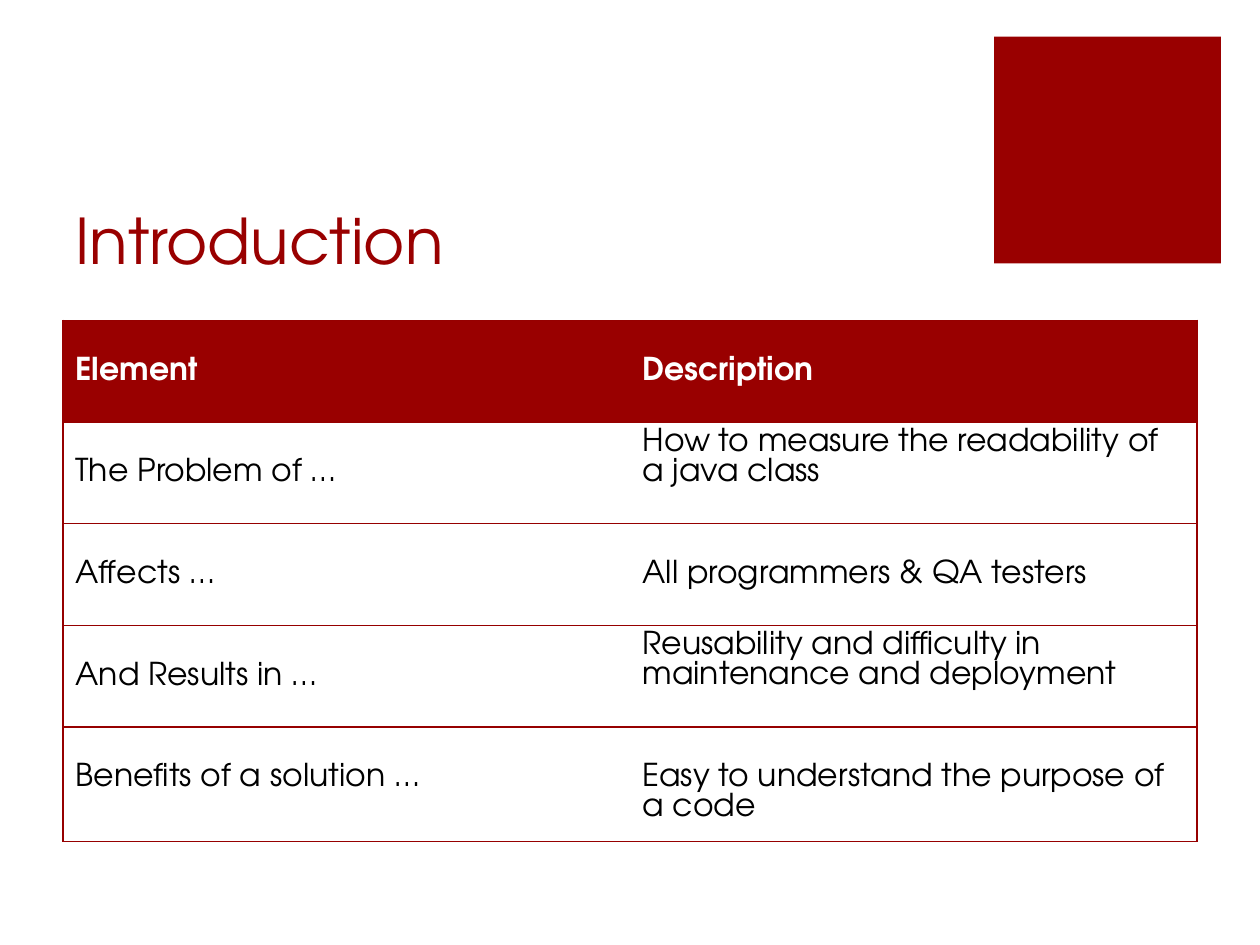
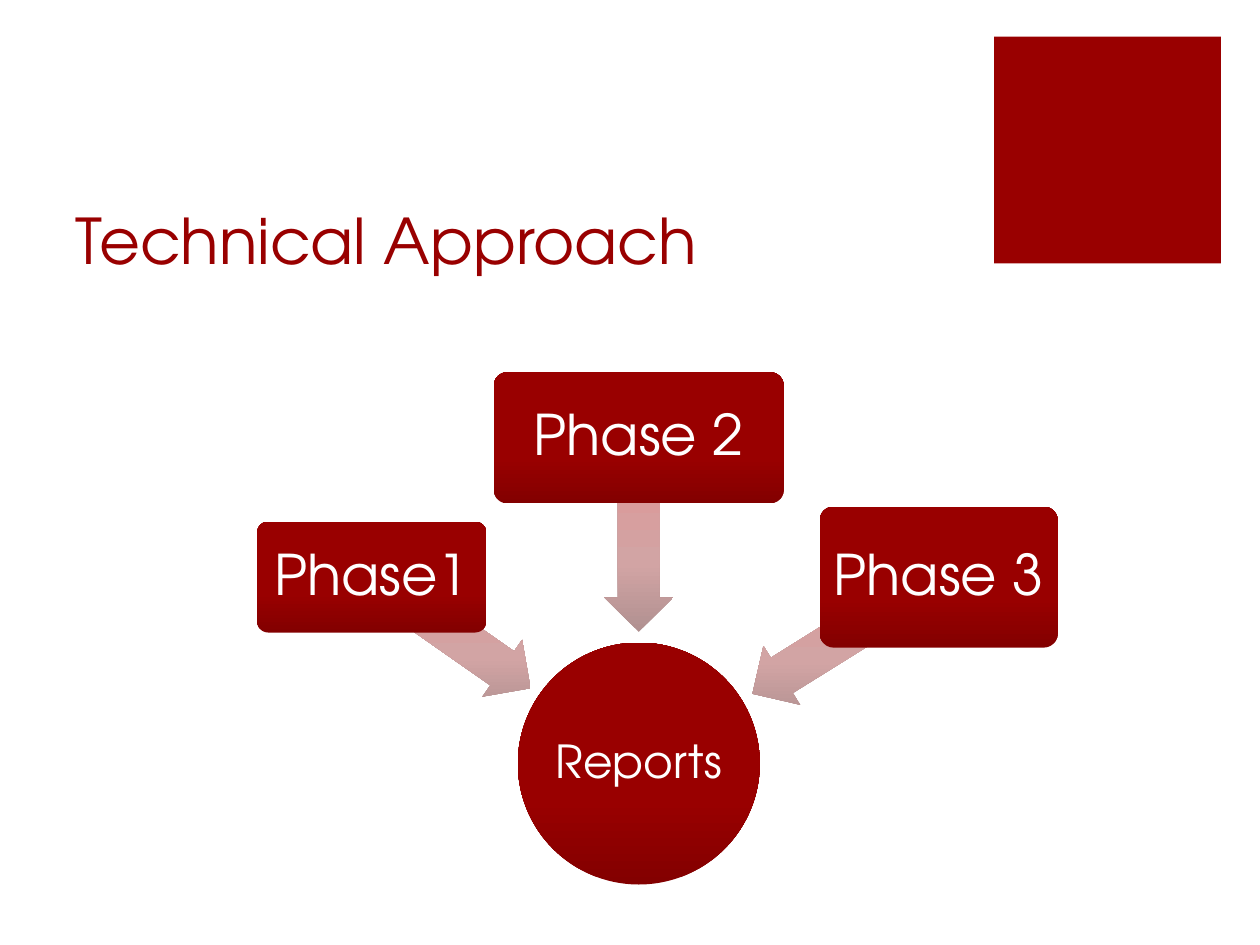
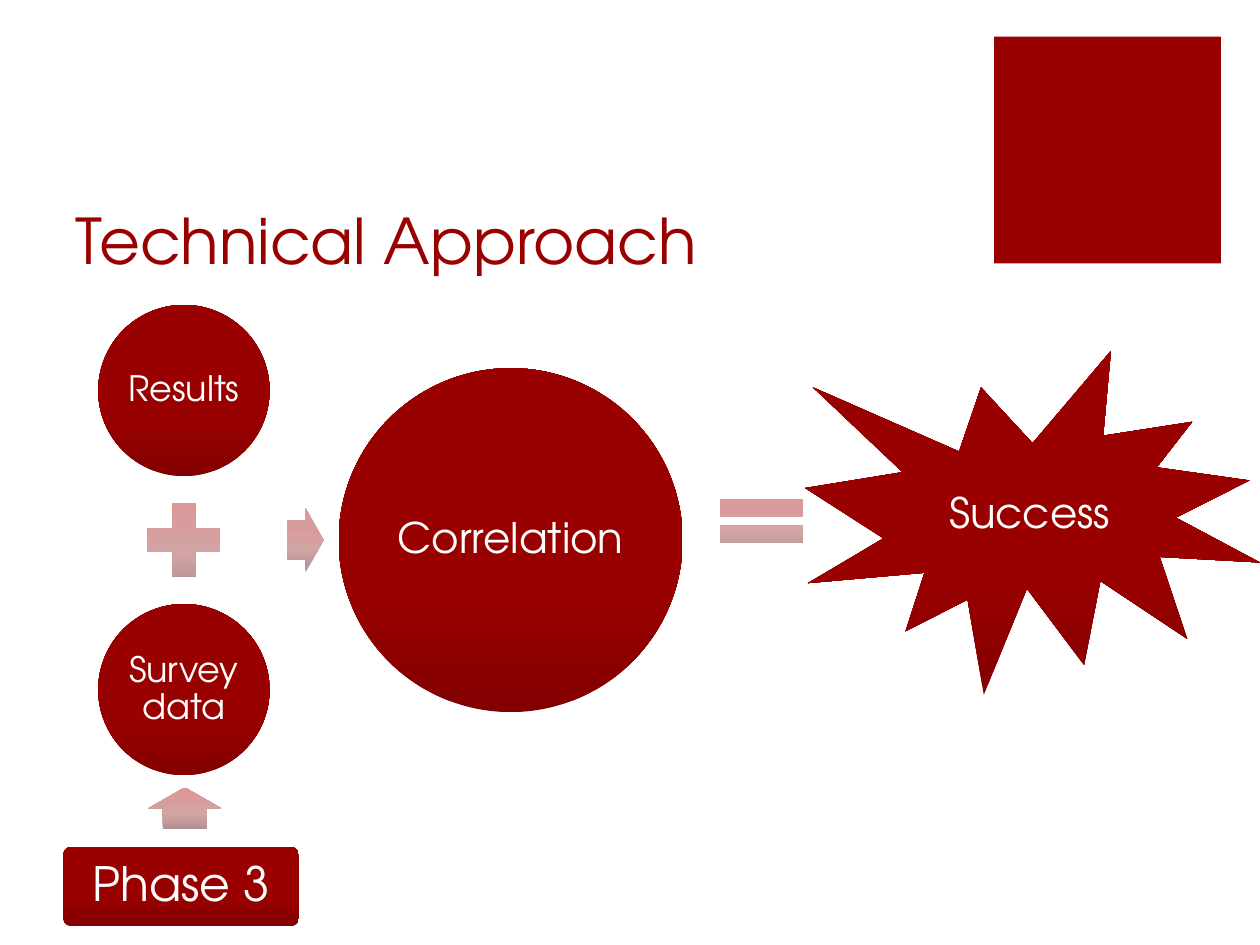
from pptx import Presentation
from pptx.util import Inches, Pt
from pptx.dml.color import RGBColor
from pptx.enum.shapes import MSO_SHAPE as Kind
from pptx.enum.text import MSO_ANCHOR as Anchor, PP_ALIGN as Align
from pptx.oxml.ns import qn
from lxml.etree import SubElement as sub

FONT = "TeX Gyre Adventor"
RED, EDGE, WHITE, BLACK = "990000", "960000", "FFFFFF", "000000"
DARK = [(0, "830000"), (35, RED), (70, RED), (100, RED)]
PALE = [(0, "B09090"), (35, "D2A4A4"), (70, "D99C9C"), (100, "E19494")]
COLS, ROWS = 100, 75  # grid of the slide, ten cells to the inch

CELLS = [
    ("Element", "Description"),
    ("The Problem of …", "How to measure the readability of a java class"),
    ("Affects …", "All programmers & QA testers"),
    ("And Results in …",
     "Reusability and difficulty in maintenance and deployment"),
    ("Benefits of a solution …", "Easy to understand the purpose of a code"),
]
HIGH = {(1, 1), (3, 1)}  # cells whose text starts at the very top


def grid(*cells):
    """Turn grid cells into lengths."""
    return [Inches(n / 10) for n in cells]


def color(text):
    """Turn a hex string into a colour."""
    return RGBColor.from_string(text)


def write(frame, text, size, tint, bold=False, align=Align.LEFT, lines=None):
    """Set a frame's text as one formatted paragraph."""
    frame.text = text
    frame.word_wrap = True
    para = frame.paragraphs[0]
    para.alignment = align
    para.line_spacing = lines
    font = para.runs[0].font
    font.name, font.size, font.bold = FONT, Pt(size), bold
    font.color.rgb = color(tint)


def blend(shape, stops):
    """Fill a shape with a gradient that rises from the bottom."""
    shape.fill.gradient()
    shape.fill.gradient_angle = 90
    grad = shape._element.spPr.find(qn("a:gradFill"))
    grad.set("rotWithShape", "0")
    marks = grad.find(qn("a:gsLst"))
    for old in list(marks):
        marks.remove(old)
    for share, tint in stops:
        mark = sub(marks, qn("a:gs"), pos=str(share * 1000))
        sub(mark, qn("a:srgbClr"), val=tint)


def form(slide, kind, x, y, w, h, stops, adj=(), turn=0):
    """Add a gradient shape centred on x, y."""
    shape = slide.shapes.add_shape(kind, *grid(x - w / 2, y - h / 2, w, h))
    shape.shadow.inherit = False
    shape.line.fill.background()
    shape.rotation = turn
    for i, value in enumerate(adj):
        shape.adjustments[i] = value
    blend(shape, stops)
    return shape


def node(slide, kind, x, y, w, h, text, size, drop=0):
    """Add a dark shape with a centred label, lowered by drop inches."""
    adj = (0.1,) if kind == Kind.ROUNDED_RECTANGLE else ()
    frame = form(slide, kind, x, y, w, h, DARK, adj).text_frame
    frame.margin_left = frame.margin_right = 0
    frame.margin_top, frame.margin_bottom = Inches(2 * drop), 0
    frame.vertical_anchor = Anchor.MIDDLE
    write(frame, text, size, WHITE, align=Align.CENTER, lines=0.9)


def arrow(slide, kind, x, y, w, h, turn=0):
    """Add a pale block arrow."""
    form(slide, kind, x, y, w, h, PALE, (0.6, 0.5), turn)


def page(deck, title):
    """Add a slide with the red square and its title."""
    slide = deck.slides.add_slide(deck.slide_layouts[6])
    square = slide.shapes.add_shape(Kind.RECTANGLE,
                                    *grid(78.9, 2.9, 18, 18))
    square.shadow.inherit = False
    square.fill.solid()
    square.fill.fore_color.rgb = color(RED)
    square.line.fill.background()
    frame = slide.shapes.add_textbox(*grid(5, 10, 71.2, 12.5)).text_frame
    frame.vertical_anchor = Anchor.BOTTOM
    write(frame, title, 36, RED)
    return slide


def edges(cell, left, right):
    """Rule a cell above and below, and at the sides asked for."""
    props = cell._tc.get_or_add_tcPr()
    sides = {"L": left, "R": right, "T": True, "B": True}
    for i, (side, shown) in enumerate(sides.items()):
        line = sub(props, qn("a:ln" + side), w=str(Pt(1)))
        if shown:
            sub(sub(line, qn("a:solidFill")), qn("a:srgbClr"), val=EDGE)
        else:
            sub(line, qn("a:noFill"))
        props.insert(i, line)


def chart(slide):
    """Add the table of the problem statement."""
    tall, wide = len(CELLS), len(CELLS[0])
    table = slide.shapes.add_table(
        tall, wide, *grid(5, 25.43, 90, 8.07 * tall)).table
    for r, texts in enumerate(CELLS):
        head = r == 0
        for c, text in enumerate(texts):
            cell = table.cell(r, c)
            cell.margin_top = Inches(0.05 if (r, c) in HIGH else 0.29)
            cell.margin_bottom = Inches(0.02)
            write(cell.text_frame, text, 18, WHITE if head else BLACK,
                  bold=head)
            if head:
                cell.fill.solid()
                cell.fill.fore_color.rgb = color(RED)
            else:
                cell.fill.background()
            edges(cell, c == 0, c == wide - 1)


def phases(slide):
    """Draw three phases that lead to the reports."""
    mid = 50.7
    node(slide, Kind.OVAL, mid, 60.6, 19.2, 19.2, "Reports", 26)
    for x, y, w, turn in ((35.8, 50.2, 15.4, 215), (mid, 42.45, 15.4, 270),
                          (67.1, 50.45, 17.4, 328)):
        arrow(slide, Kind.LEFT_ARROW, x, y, w, 5.5, turn)
    for x, y, w, h, text in ((29.5, 45.8, 18.2, 8.8, "Phase1"),
                             (mid, 34.75, 23, 10.4, "Phase 2"),
                             (74.5, 45.8, 18.9, 11.2, "Phase 3")):
        node(slide, Kind.ROUNDED_RECTANGLE, x, y, w, h, text, 32)


def success(slide):
    """Draw the sum of results and survey data that means success."""
    left, mid, step = 14.6, 42.87, 11.87
    node(slide, Kind.OVAL, left, mid - step, 13.6, 13.6, "Results", 20)
    form(slide, Kind.MATH_PLUS, left, mid, 7.9, 7.9, PALE)
    node(slide, Kind.OVAL, left, mid + step, 13.6, 13.6, "Survey data", 20)
    arrow(slide, Kind.RIGHT_ARROW, 24.23, mid, 2.9, 5.1)
    node(slide, Kind.OVAL, 40.53, mid, 27.3, 27.3, "Correlation", 24)
    node(slide, Kind.ROUNDED_RECTANGLE, 14.37, 70.37, 18.7, 6.3,
         "Phase 3", 27)
    arrow(slide, Kind.RIGHT_ARROW, 14.67, 64.15, 3.3, 5.8, 270)
    form(slide, Kind.MATH_EQUAL, 60.47, 41.35, 9, 5.8, PALE)
    node(slide, Kind.EXPLOSION1, 81.95, 41.5, 36.1, 27.3, "Success", 24, 0.02)


def main():
    """Build the deck."""
    deck = Presentation()
    deck.slide_width, deck.slide_height = grid(COLS, ROWS)
    chart(page(deck, "Introduction"))
    phases(page(deck, "Technical Approach"))
    success(page(deck, "Technical Approach"))
    deck.save("out.pptx")


main()
